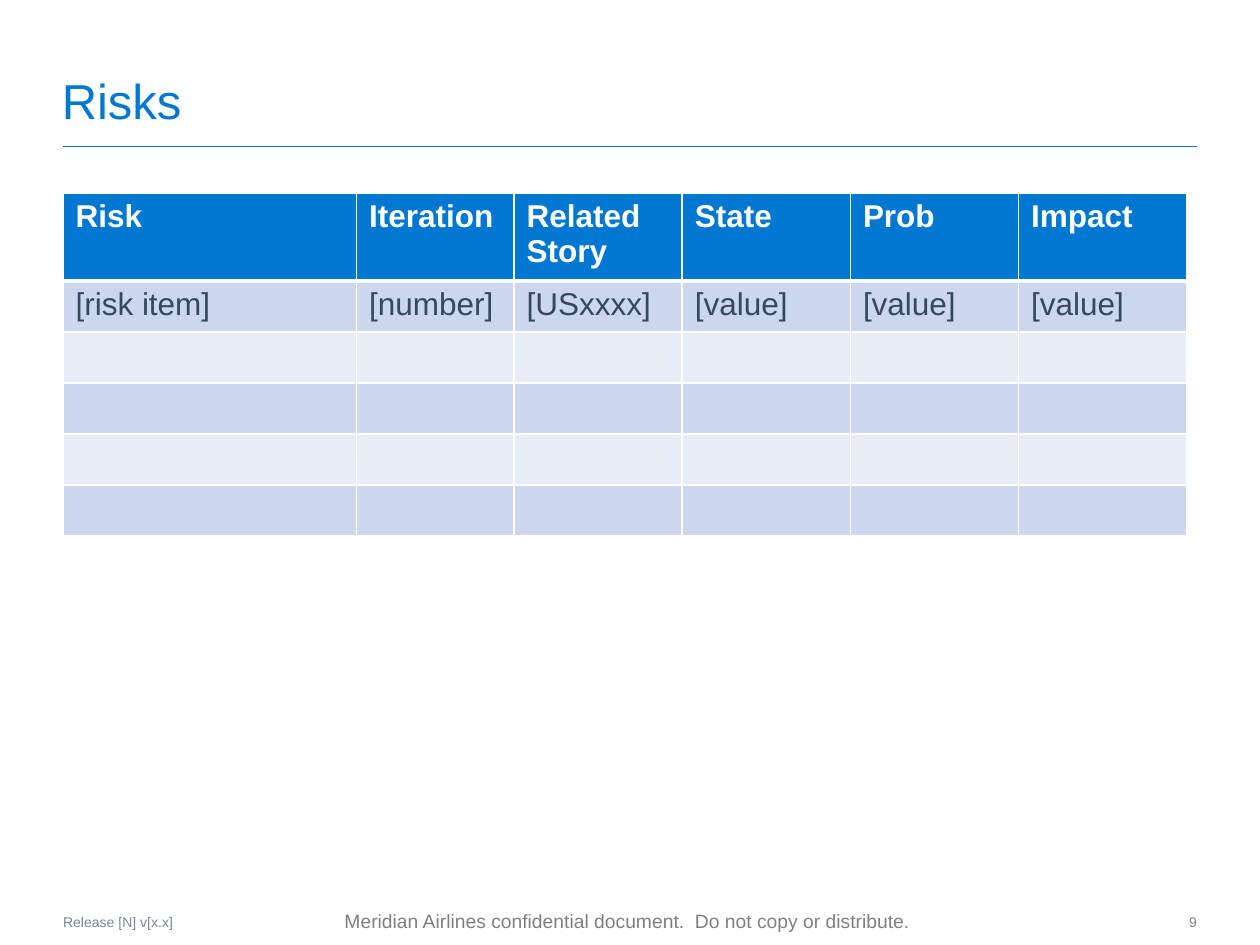
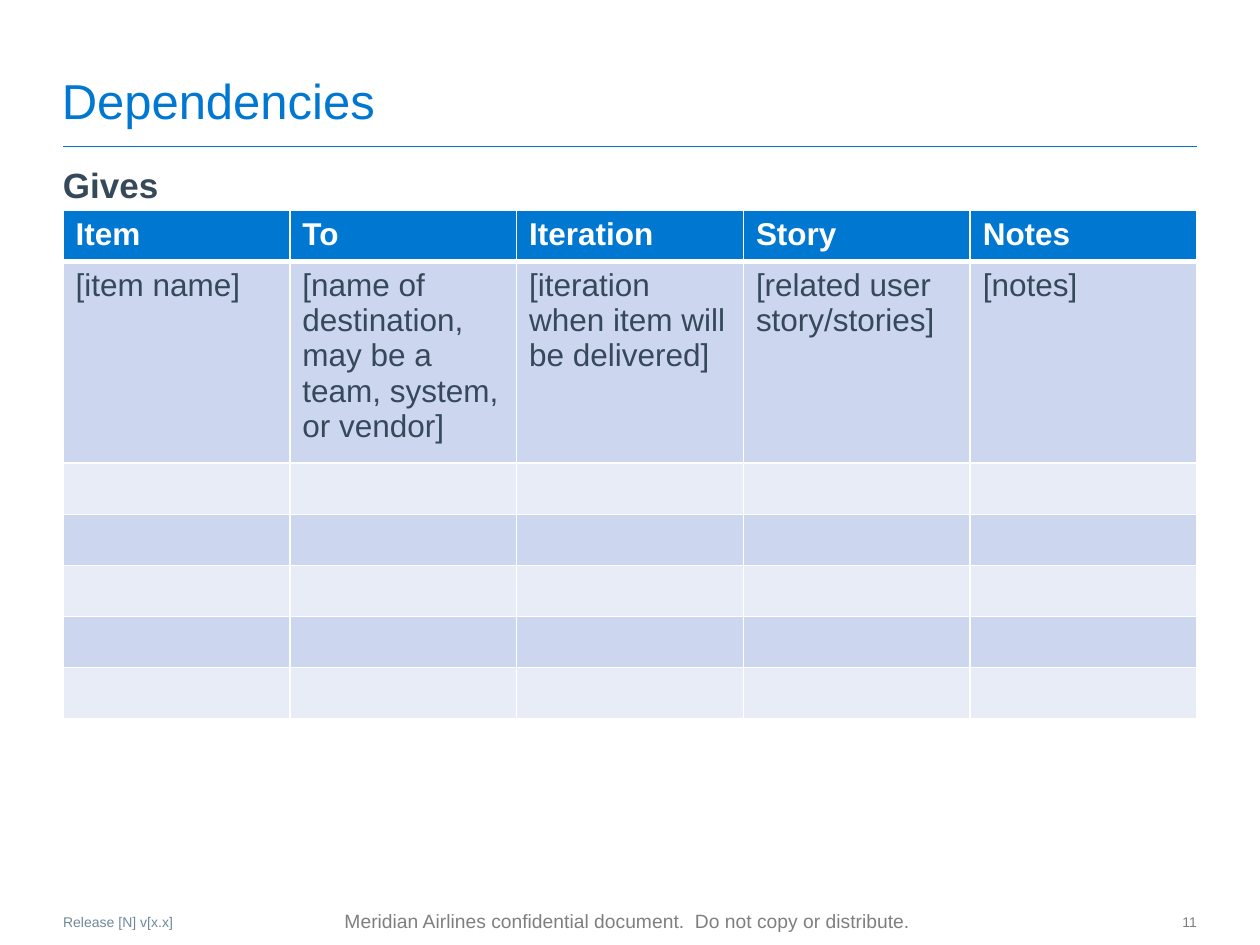
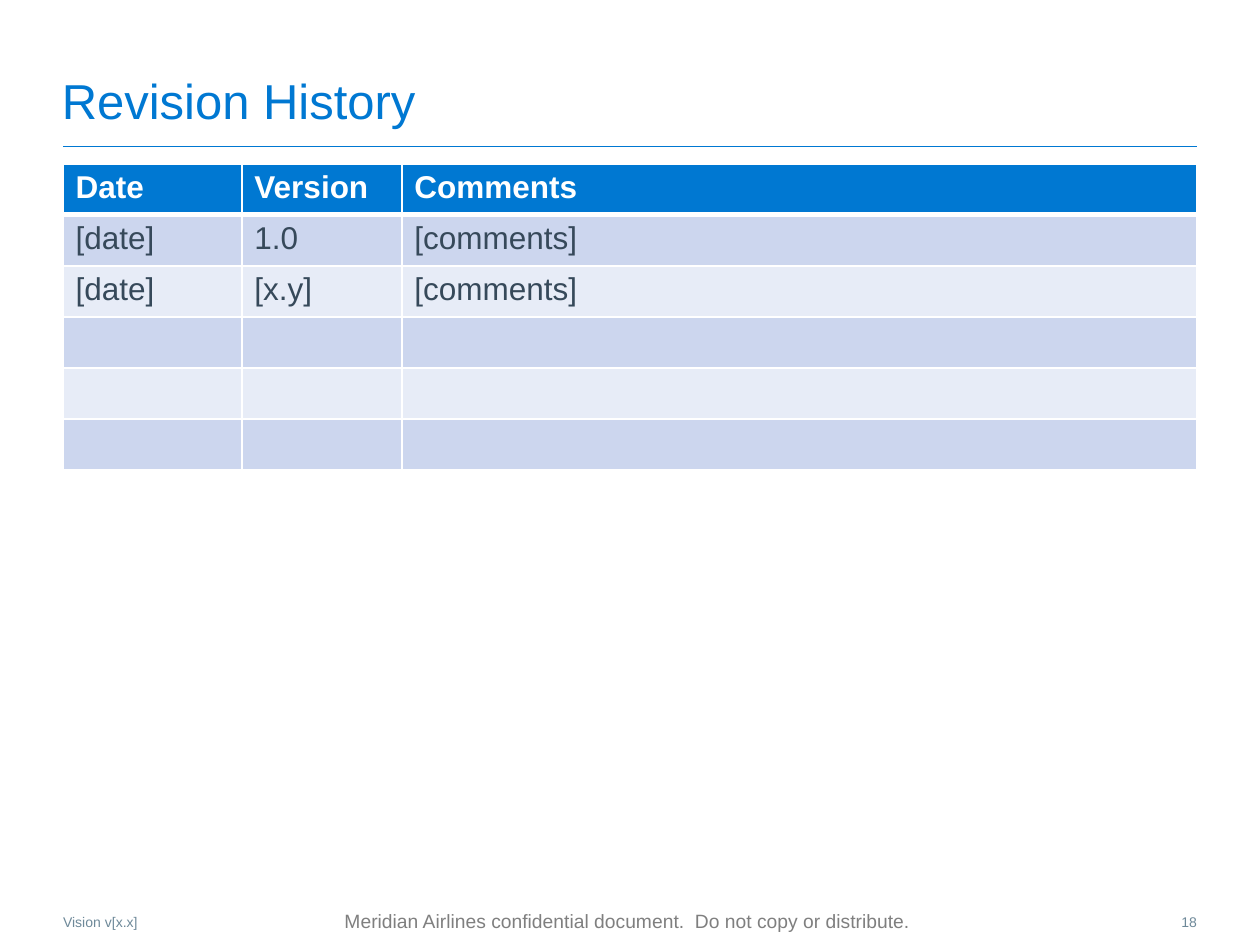
from dataclasses import dataclass

from lxml import etree
from pptx import Presentation
from pptx.dml.color import RGBColor
from pptx.enum.shapes import MSO_CONNECTOR
from pptx.enum.text import MSO_ANCHOR, PP_ALIGN
from pptx.oxml.ns import qn
from pptx.slide import Slide
from pptx.table import _Cell
from pptx.text.text import _Paragraph
from pptx.util import Inches, Pt

STRAIGHT = MSO_CONNECTOR.STRAIGHT
TOP, MIDDLE, BOTTOM = MSO_ANCHOR.TOP, MSO_ANCHOR.MIDDLE, MSO_ANCHOR.BOTTOM
LEFT, CENTER, RIGHT = PP_ALIGN.LEFT, PP_ALIGN.CENTER, PP_ALIGN.RIGHT

FONT = "Arial"
BLUE = "0078D2"
SLATE = "36495A"
STEEL = "6E8999"
GRAY = "7F7F7F"
WHITE = "FFFFFF"
BANDS = ("CCD6EE", "E7ECF7")
CONFIDENTIALITY = "Meridian Airlines confidential document.  Do not copy or distribute."


@dataclass(frozen=True)
class TextStyle:
    size: float
    color: str
    bold: bool = False
    align: PP_ALIGN = LEFT
    anchor: MSO_ANCHOR = TOP
    wrap: bool = True
    margins: tuple[float, float] = (0, 0)


@dataclass(frozen=True)
class Grid:
    top: float
    width: float
    height: float
    leading_widths: tuple[float, ...]
    row_count: int
    header: tuple[str, ...]
    entries: tuple[tuple[str, ...], ...]


@dataclass(frozen=True)
class Page:
    title: str
    document: str
    number: str
    grid: Grid
    heading: str = ""
    number_color: str = GRAY


TITLE = TextStyle(28, BLUE, anchor=BOTTOM)
HEADING = TextStyle(20, SLATE, bold=True)
DOCUMENT = TextStyle(8, STEEL)
NOTICE = TextStyle(11, GRAY, align=CENTER, anchor=MIDDLE, wrap=False, margins=(0.1, 0.05))
HEADER_CELL = TextStyle(18, WHITE, bold=True)
BODY_CELL = TextStyle(18, SLATE)

PAGES = (
    Page(
        "Risks", "Release [N] v[x.x]", "9",
        Grid(
            1.53, 8.92, 2.43, (2.33, 1.25), 6,
            ("Risk", "Iteration", "Related Story", "State", "Prob", "Impact"),
            (("[risk item]", "[number]", "[USxxxx]", "[value]", "[value]", "[value]"),),
        ),
    ),
    Page(
        "Dependencies", "Release [N] v[x.x]", "11",
        Grid(
            1.67, 9, 2.84, (), 7,
            ("Item", "To", "Iteration", "Story", "Notes"),
            ((
                "[item name]",
                "[name of destination, may be a team, system, or vendor]",
                "[iteration when item will be delivered]",
                "[related user story/stories]",
                "[notes]",
            ),),
        ),
        heading="Gives",
    ),
    Page(
        "Revision History", "Vision v[x.x]", "18",
        Grid(
            1.3, 9, 2.43, (1.42, 1.27), 6,
            ("Date", "Version", "Comments"),
            (("[date]", "1.0", "[comments]"), ("[date]", "[x.y]", "[comments]")),
        ),
        number_color=STEEL,
    ),
)


def rgb(color: str) -> RGBColor:
    return RGBColor.from_string(color)


def add_run(paragraph: _Paragraph, text: str, style: TextStyle) -> None:
    paragraph.alignment = style.align
    run = paragraph.add_run()
    run.text = text
    run.font.name = FONT
    run.font.size = Pt(style.size)
    run.font.bold = style.bold
    run.font.color.rgb = rgb(style.color)


def add_text(
    slide: Slide, text: str, left: float, top: float, width: float, height: float, style: TextStyle
) -> None:
    shape = slide.shapes.add_textbox(Inches(left), Inches(top), Inches(width), Inches(height))
    frame = shape.text_frame
    frame.word_wrap = style.wrap
    frame.vertical_anchor = style.anchor
    horizontal, vertical = style.margins
    frame.margin_left = frame.margin_right = Inches(horizontal)
    frame.margin_top = frame.margin_bottom = Inches(vertical)
    add_run(frame.paragraphs[0], text, style)


def add_title_rule(slide: Slide) -> None:
    rule = slide.shapes.add_connector(
        STRAIGHT, Inches(0.5), Inches(1.16), Inches(9.5), Inches(1.16)
    )
    rule.line.color.rgb = rgb(BLUE)
    rule.line.width = Pt(0.5)
    etree.SubElement(rule._element.spPr, qn("a:effectLst"))


def set_borders(cell: _Cell, top: float, bottom: float) -> None:
    properties = cell._tc.get_or_add_tcPr()
    for side, points in (("L", 1), ("R", 1), ("T", top), ("B", bottom)):
        line = etree.SubElement(properties, qn(f"a:ln{side}"), w=str(Pt(points)))
        fill = etree.SubElement(line, qn("a:solidFill"))
        etree.SubElement(fill, qn("a:srgbClr"), val=WHITE)


def add_grid(slide: Slide, grid: Grid) -> None:
    column_count = len(grid.header)
    table = slide.shapes.add_table(
        grid.row_count, column_count,
        Inches(0.5), Inches(grid.top), Inches(grid.width), Inches(grid.height),
    ).table
    leading = grid.leading_widths
    shared_width = (grid.width - sum(leading)) / (column_count - len(leading))
    for index, column in enumerate(table.columns):
        column.width = Inches(leading[index] if index < len(leading) else shared_width)
    contents = (grid.header, *grid.entries)
    for row_index, row in enumerate(table.rows):
        is_header = row_index == 0
        color = BLUE if is_header else BANDS[(row_index - 1) % 2]
        for column_index, cell in enumerate(row.cells):
            set_borders(cell, 3 if row_index == 1 else 1, 3 if is_header else 1)
            cell.fill.solid()
            cell.fill.fore_color.rgb = rgb(color)
            if row_index < len(contents):
                add_run(
                    cell.text_frame.paragraphs[0],
                    contents[row_index][column_index],
                    HEADER_CELL if is_header else BODY_CELL,
                )


def add_page(presentation: Presentation, page: Page) -> None:
    slide = presentation.slides.add_slide(presentation.slide_layouts[6])
    add_title_rule(slide)
    add_text(slide, CONFIDENTIALITY, 2.01, 7.18, 5.94, 0.26, NOTICE)
    add_text(slide, page.title, 0.49, 0.42, 9.01, 0.61, TITLE)
    add_text(slide, page.document, 0.5, 7.25, 4.25, 0.14, DOCUMENT)
    number_style = TextStyle(8, page.number_color, align=RIGHT)
    add_text(slide, page.number, 9.15, 7.25, 0.35, 0.15, number_style)
    if page.heading:
        add_text(slide, page.heading, 0.5, 1.3, 9, 5.42, HEADING)
    add_grid(slide, page.grid)


def main() -> None:
    presentation = Presentation()
    presentation.slide_width = Inches(10)
    presentation.slide_height = Inches(7.5)
    for page in PAGES:
        add_page(presentation, page)
    presentation.save("out.pptx")


if __name__ == "__main__":
    main()
